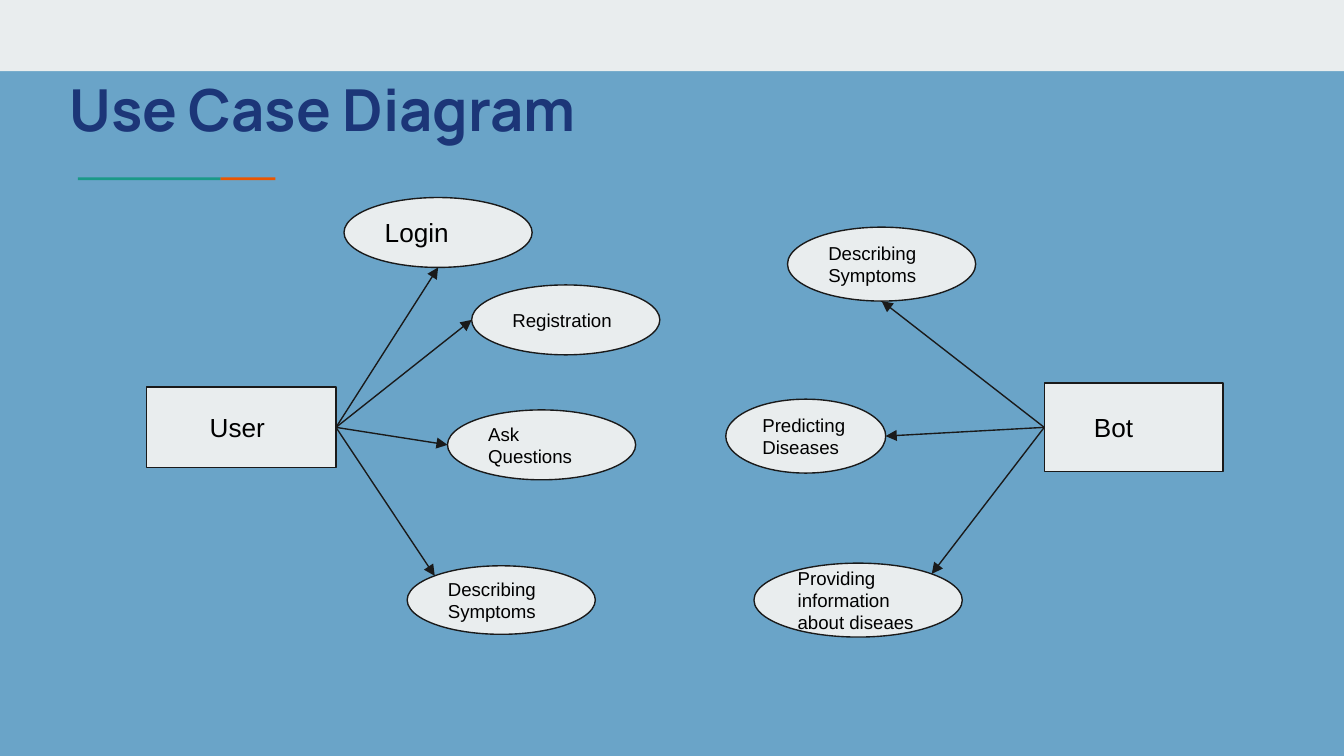
"""Build a use case diagram slide for a user and a bot."""
from dataclasses import dataclass
from math import sqrt

from lxml import etree
from pptx import Presentation
from pptx import util as u
from pptx.dml.color import RGBColor
from pptx.enum import shapes, text
from pptx.oxml import ns
from pptx.shapes.autoshape import Shape
from pptx.slide import Slide


@dataclass(frozen=True)
class Theme:
    background: str = "6AA4C8"
    panel: str = "E9EDEE"
    outline: str = "1A1A1A"
    ink: str = "000000"
    title: str = "1C3678"
    green: str = "1A9988"
    orange: str = "EB5600"
    title_font: str = "Manrope"
    body_font: str = "Arial"
    title_size: int = 31
    large: int = 14
    small: int = 10
    line_width: float = 0.75


@dataclass(frozen=True)
class Box:
    left: float
    top: float
    width: float
    height: float

    def point(self, site: tuple[float, float]) -> tuple[float, float]:
        x, y = site
        return self.left + self.width * x, self.top + self.height * y


@dataclass(frozen=True)
class UseCase:
    label: str
    box: Box
    site: tuple[float, float]
    size: int = Theme.small


@dataclass(frozen=True)
class Actor:
    label: str
    box: Box
    indent: float
    side: int
    use_cases: tuple[UseCase, ...]


THEME = Theme()
NEAR = (1 - sqrt(0.5)) / 2
LEFT, RIGHT, BOTTOM = (0, 0.5), (1, 0.5), (0.5, 1)
TOP_LEFT, TOP_RIGHT = (NEAR, NEAR), (1 - NEAR, NEAR)
SIDE_LEFT, SIDE_RIGHT = 1, 3

ACTORS = (
    Actor("User", Box(1.09, 2.88, 1.41, 0.6), 0.47, SIDE_RIGHT, (
        UseCase("Login", Box(2.56, 1.47, 1.4, 0.52), BOTTOM, THEME.large),
        UseCase("Registration", Box(3.51, 2.12, 1.4, 0.52), LEFT),
        UseCase("Ask Questions", Box(3.33, 3.05, 1.4, 0.52), LEFT),
        UseCase("Describing Symptoms", Box(3.03, 4.21, 1.4, 0.51), TOP_LEFT),
    )),
    Actor("Bot", Box(7.77, 2.85, 1.33, 0.66), 0.37, SIDE_LEFT, (
        UseCase("Describing Symptoms", Box(5.86, 1.69, 1.4, 0.55), BOTTOM),
        UseCase("Predicting Diseases", Box(5.4, 2.97, 1.19, 0.55), RIGHT),
        UseCase("Providing information about diseaes",
                Box(5.61, 4.19, 1.55, 0.55), TOP_RIGHT),
    )),
)


def lengths(box: Box) -> tuple[u.Length, ...]:
    return tuple(map(u.Inches, (box.left, box.top, box.width, box.height)))


def add_block(slide: Slide, kind: shapes.MSO_SHAPE, box: Box, color: str) -> Shape:
    shape = slide.shapes.add_shape(kind, *lengths(box))
    shape.shadow.inherit = False
    shape.fill.solid()
    shape.fill.fore_color.rgb = RGBColor.from_string(color)
    shape.line.fill.background()
    return shape


def write(shape: Shape, words: str, font_name: str, size: int, color: str,
          bold: bool = False) -> None:
    frame = shape.text_frame
    frame.text = words
    frame.word_wrap = True
    frame.margin_left = frame.margin_right = u.Inches(0.1)
    frame.margin_top = frame.margin_bottom = u.Inches(0.1)
    paragraph = frame.paragraphs[0]
    paragraph.alignment = text.PP_ALIGN.LEFT
    font = paragraph.runs[0].font
    font.name, font.size, font.bold = font_name, u.Pt(size), bold
    font.color.rgb = RGBColor.from_string(color)


def add_node(slide: Slide, kind: shapes.MSO_SHAPE, box: Box, label: str,
             size: int) -> Shape:
    shape = add_block(slide, kind, box, THEME.panel)
    shape.line.color.rgb = RGBColor.from_string(THEME.outline)
    shape.line.width = u.Pt(THEME.line_width)
    write(shape, label, THEME.body_font, size, THEME.ink)
    shape.text_frame.vertical_anchor = text.MSO_ANCHOR.MIDDLE
    return shape


def add_arrow(slide: Slide, actor_shape: Shape, actor: Actor,
              use_case: UseCase) -> None:
    start = actor.box.point(RIGHT if actor.side == SIDE_RIGHT else LEFT)
    end = use_case.box.point(use_case.site)
    connector = slide.shapes.add_connector(
        shapes.MSO_CONNECTOR.STRAIGHT, *map(u.Inches, start + end))
    connector.begin_connect(actor_shape, actor.side)
    connector.line.color.rgb = RGBColor.from_string(THEME.outline)
    connector.line.width = u.Pt(THEME.line_width)
    line = connector.line._get_or_add_ln()
    etree.SubElement(line, ns.qn("a:tailEnd"), type="triangle")
    etree.SubElement(connector._element.spPr, ns.qn("a:effectLst"))


def add_actor(slide: Slide, actor: Actor) -> None:
    shape = add_node(slide, shapes.MSO_SHAPE.RECTANGLE, actor.box, actor.label,
                     THEME.large)
    shape.text_frame.margin_left = u.Inches(actor.indent)
    for use_case in actor.use_cases:
        add_node(slide, shapes.MSO_SHAPE.OVAL, use_case.box, use_case.label,
                 use_case.size)
        add_arrow(slide, shape, actor, use_case)


def add_heading(slide: Slide) -> None:
    for box, color in (
        (Box(0, 0, 10, 0.53), THEME.panel),
        (Box(1.64, 1.32, 0.41, 0.02), THEME.orange),
        (Box(0.58, 1.32, 1.06, 0.02), THEME.green),
    ):
        add_block(slide, shapes.MSO_SHAPE.RECTANGLE, box, color)
    title = slide.shapes.add_textbox(*lengths(Box(0.42, 0.45, 9.32, 0.66)))
    write(title, "Use Case Diagram", THEME.title_font, THEME.title_size,
          THEME.title, bold=True)


def main() -> None:
    presentation = Presentation()
    presentation.slide_width = u.Inches(10)
    presentation.slide_height = u.Inches(10 * 9 / 16)
    slide = presentation.slides.add_slide(presentation.slide_layouts[6])
    slide.background.fill.solid()
    slide.background.fill.fore_color.rgb = RGBColor.from_string(THEME.background)
    add_heading(slide)
    for actor in ACTORS:
        add_actor(slide, actor)
    presentation.save("out.pptx")


if __name__ == "__main__":
    main()
